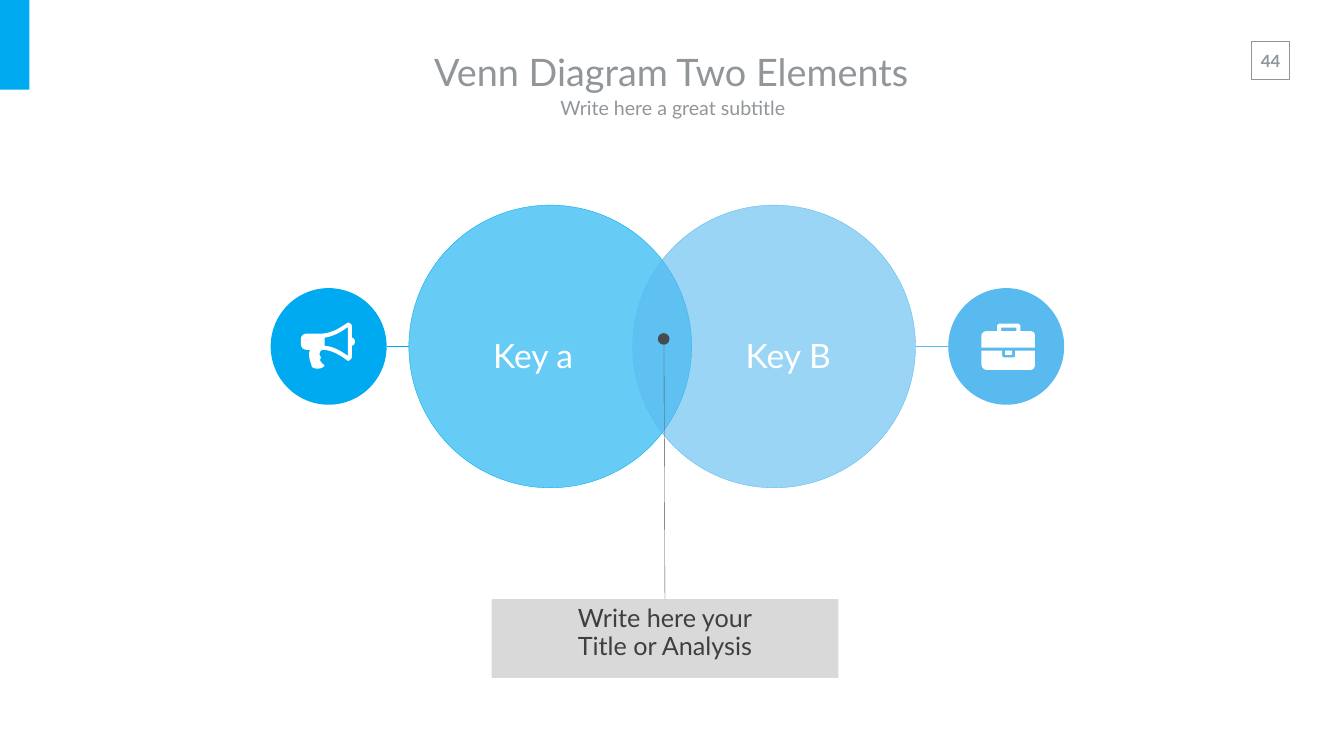
from lxml import etree
from pptx import Presentation
from pptx.dml.color import RGBColor
from pptx.enum.shapes import MSO_CONNECTOR, MSO_SHAPE
from pptx.enum.text import MSO_ANCHOR, MSO_AUTO_SIZE, PP_ALIGN
from pptx.oxml.ns import qn
from pptx.util import Pt

LINE = MSO_CONNECTOR.STRAIGHT
OVAL, RECT = MSO_SHAPE.OVAL, MSO_SHAPE.RECTANGLE
TOP, MIDDLE = MSO_ANCHOR.TOP, MSO_ANCHOR.MIDDLE
GROW = MSO_AUTO_SIZE.SHAPE_TO_FIT_TEXT
CENTER = PP_ALIGN.CENTER

BLUE = RGBColor(0x00, 0xAA, 0xF0)
SKY = RGBColor(0x59, 0xBA, 0xF0)
GREY = RGBColor(0x91, 0x96, 0x9B)
PALE = RGBColor(0xD9, 0xD9, 0xD9)
DARK = RGBColor(0x47, 0x4B, 0x4F)
INK = RGBColor(0x3E, 0x3F, 0x41)
WHITE = RGBColor(0xFF, 0xFF, 0xFF)

FONT = "Lato"
UNIT = 0.72
STEPS = 8

HORN = [
    [(107, 38), (107, 43, 104, 46, 101, 46), (101, 68),
     (101, 72, 96, 76, 93, 76), (82, 68, 65, 55, 44, 54),
     (36, 55, 35, 65, 40, 69), (35, 76, 41, 80, 47, 85),
     (43, 93, 27, 93, 22, 88), (19, 77, 13, 66, 18, 54), (11, 54),
     (5, 54, 0, 49, 0, 43), (0, 32), (0, 27, 5, 22, 11, 22), (40, 22),
     (61, 22, 80, 9, 93, 0), (96, 0, 101, 3, 101, 6), (101, 30),
     (104, 30, 107, 33, 107, 38)],
    [(93, 9), (77, 21, 61, 28, 47, 30), (47, 46), (61, 47, 77, 54, 93, 66)],
]
CASE = [
    [(106, 48), (0, 48), (0, 24), (0, 19, 5, 15, 11, 15), (31, 15), (31, 5),
     (31, 2, 34, 0, 38, 0), (70, 0), (74, 0, 77, 2, 77, 5), (77, 15),
     (97, 15), (103, 15, 106, 19, 106, 24)],
    [(106, 82), (106, 87, 103, 92, 97, 92), (11, 92), (5, 92, 0, 87, 0, 82),
     (0, 54), (41, 54), (41, 63), (41, 65, 42, 67, 44, 67), (64, 67),
     (66, 67, 67, 65, 67, 63), (67, 54), (106, 54)],
    [(69, 15), (69, 8), (39, 8), (39, 15)],
    [(61, 62), (47, 62), (47, 54), (61, 54)],
]


def add_shape(slide, kind, box, fill=None, line=None, width=0.5, alpha=None):
    shape = slide.shapes.add_shape(kind, *map(Pt, box))
    shape.shadow.inherit = False
    if fill is None:
        shape.fill.background()
    else:
        shape.fill.solid()
        shape.fill.fore_color.rgb = fill
    if alpha is not None:
        color = shape.fill._xPr.find(".//" + qn("a:srgbClr"))
        etree.SubElement(color, qn("a:alpha"), val=str(alpha * 1000))
    if line is None:
        shape.line.fill.background()
    else:
        shape.line.color.rgb = line
        shape.line.width = Pt(width)
    return shape


def set_text(shape, lines, size, color, pads=(7.2, 3.6), anchor=TOP,
             space=None, bold=False, wrap=True):
    frame = shape.text_frame
    frame.word_wrap = wrap
    frame.vertical_anchor = anchor
    frame.margin_left = frame.margin_right = Pt(pads[0])
    frame.margin_top = frame.margin_bottom = Pt(pads[1])
    for i, line in enumerate(lines):
        para = frame.add_paragraph() if i else frame.paragraphs[0]
        para.text = line
        para.alignment = CENTER
        if space:
            para.line_spacing = space
        para.font.name = FONT
        para.font.size = Pt(size)
        para.font.bold = bold
        para.font.color.rgb = color
    return frame


def add_text(slide, box, text, size, color, **style):
    shape = slide.shapes.add_textbox(*map(Pt, box))
    set_text(shape, [text], size, color, **style).auto_size = GROW


def add_line(slide, start, end, color):
    line = slide.shapes.add_connector(LINE, *map(Pt, start + end))
    line.line.color.rgb = color
    line.line.width = Pt(0.5)
    etree.SubElement(line._element.spPr, qn("a:effectLst"))


def trace(path):
    points = [path[0]]
    for step in path[1:]:
        if len(step) == 2:
            points.append(step)
            continue
        ends = (points[-1], step[:2], step[2:4], step[4:])
        for n in range(1, STEPS + 1):
            t = n / STEPS
            u = 1 - t
            parts = (u ** 3, 3 * u * u * t, 3 * u * t * t, t ** 3)
            points.append(tuple(sum(w * p[k] for w, p in zip(parts, ends))
                                for k in (0, 1)))
    return [(Pt(x * UNIT), Pt(y * UNIT)) for x, y in points]


def add_icon(slide, left, top, paths):
    rings = [trace(path) for path in paths]
    pen = slide.shapes.build_freeform(*rings[0][0])
    for i, ring in enumerate(rings):
        if i:
            pen.move_to(*ring[0])
        pen.add_line_segments(ring[1:], close=True)
    icon = pen.convert_to_shape(Pt(left), Pt(top))
    icon.shadow.inherit = False
    icon.fill.solid()
    icon.fill.fore_color.rgb = WHITE
    icon.line.fill.background()


def add_head(slide):
    add_text(slide, (1785.6, 64.8, 58.3, 43.9), "44", 24, GREY,
             pads=(14.4, 7.2), bold=True, wrap=False)
    add_shape(slide, RECT, (1787.8, 59, 54, 54), line=GREY, width=1)
    add_shape(slide, RECT, (0, 0, 41.8, 128.2), BLUE)
    pads = (19.4, 9.4)
    add_text(slide, (586.8, 59.8, 743.8, 85), "Venn Diagram Two Elements",
             54, GREY, pads=pads, anchor=MIDDLE)
    add_text(slide, (589, 126.7, 743.8, 53.3), "Write here a great subtitle",
             28, GREY, pads=pads, anchor=MIDDLE)


def add_venn(slide):
    mid = 494.6
    for left, color in ((583.9, BLUE), (903.6, SKY)):
        add_shape(slide, OVAL, (left, 293, 403.9, 403.9), color, color,
                  alpha=60)
    note = add_shape(slide, RECT, (702, 856.1, 495.4, 112.3), PALE)
    set_text(note, ["Write here your", "Title or Analysis"], 36, INK,
             pads=(7.2, 7.2), space=0.95)
    add_line(slide, (948.2, 475.9), (949.7, 856.1), DARK)
    sides = (
        (386.6, 552.6, 583.9, BLUE, 429.8, 460.8, HORN),
        (1354.3, 1307.5, 1354.3, SKY, 1401.8, 462.2, CASE),
    )
    for left, start, end, color, x, y, paths in sides:
        add_shape(slide, OVAL, (left, 411.6, 165.6, 166.6), color)
        add_line(slide, (start, mid), (end, mid), color)
        add_icon(slide, x, y, paths)
    add_shape(slide, OVAL, (939.6, 475.9, 16.6, 16.6), DARK)
    for left, text in ((619.2, "Key a"), (983.5, "Key B")):
        add_text(slide, (left, 451.4, 284.4, 85), text, 48, WHITE, space=1.4)


def main():
    deck = Presentation()
    deck.slide_width, deck.slide_height = Pt(1919.52), Pt(1080)
    slide = deck.slides.add_slide(deck.slide_layouts[6])
    add_head(slide)
    add_venn(slide)
    deck.save("out.pptx")


if __name__ == "__main__":
    main()
